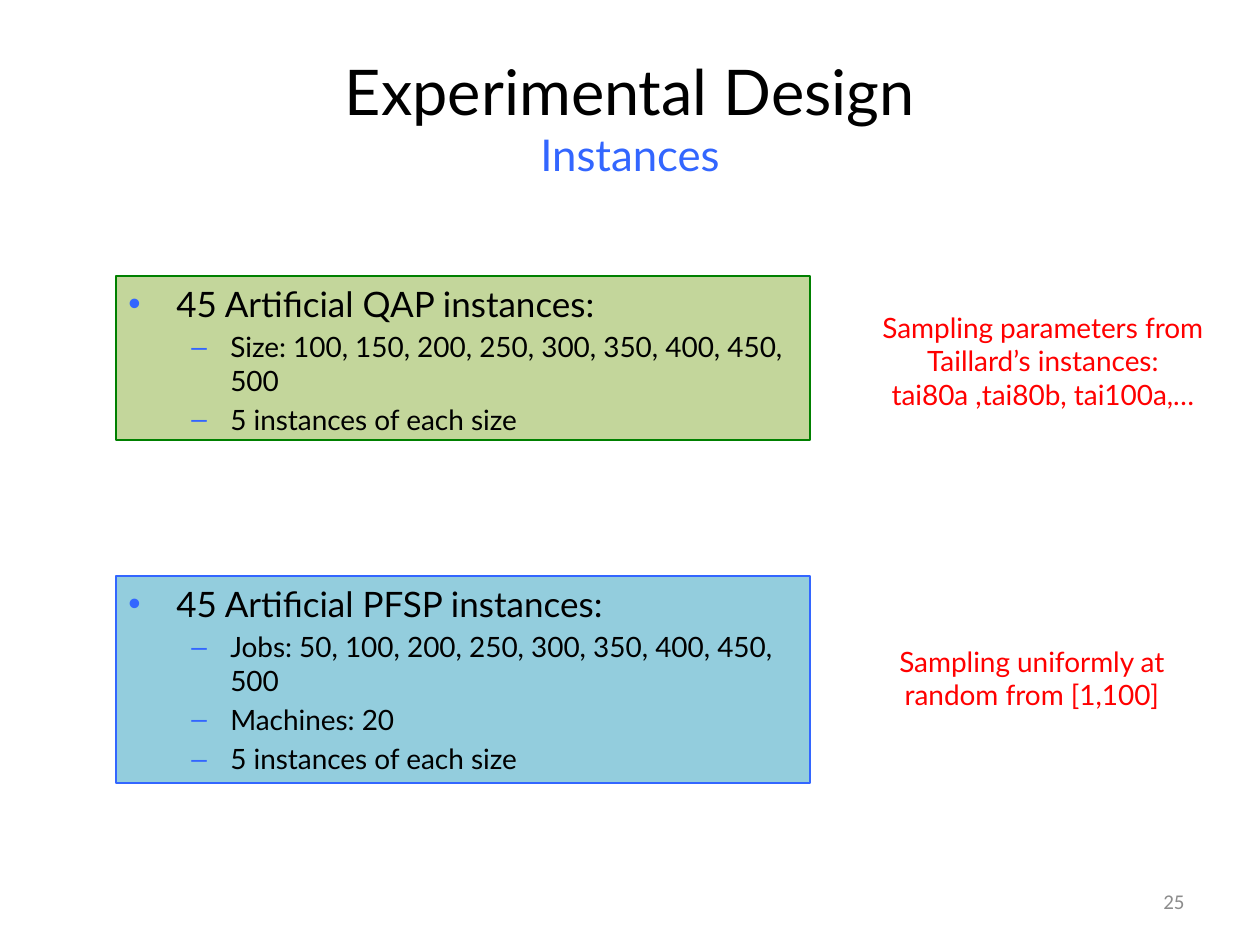
from lxml import etree
from pptx import Presentation
from pptx.dml.color import RGBColor
from pptx.enum.shapes import MSO_SHAPE
from pptx.enum.text import MSO_ANCHOR, PP_ALIGN
from pptx.oxml.ns import qn
from pptx.util import Pt

PX = 914400 / 126
RECTANGLE = MSO_SHAPE.RECTANGLE
TOP, MIDDLE = MSO_ANCHOR.TOP, MSO_ANCHOR.MIDDLE
LEFT, CENTER, RIGHT = PP_ALIGN.LEFT, PP_ALIGN.CENTER, PP_ALIGN.RIGHT
COLORS = {
    "black": "000000",
    "blue": "3366FF",
    "red": "FF0000",
    "gray": "8C8C8C",
    "green": "008000",
    "light_green": "C3D69B",
    "light_blue": "93CDDD",
}
LEVELS = [
    {"bullet": "•", "size": 20, "margin": 48, "hang": 48},
    {"bullet": "–", "size": 16, "margin": 102, "hang": 39},
]


def emu(*lengths):
    """Turn lengths in px into EMU."""
    return [round(length * PX) for length in lengths]


def color(name):
    """Look up a named colour."""
    return RGBColor.from_string(COLORS[name])


def style(span, size, ink, font="Lato"):
    """Format one run."""
    span.font.size = Pt(size)
    span.font.name = font
    span.font.color.rgb = color(ink)


def add_text(page, place, text, styles, align=CENTER, anchor=TOP):
    """Add a wrapping text box with one style for each run."""
    box = page.shapes.add_textbox(*emu(*place))
    frame = box.text_frame
    frame.word_wrap = True
    frame.vertical_anchor = anchor
    para = frame.paragraphs[0]
    para.text = text
    para.alignment = align
    for span, run_style in zip(para.runs, styles):
        style(span, *run_style)


def add_bullet(para, level):
    """Give a paragraph its indent and a blue bullet."""
    rule = LEVELS[level]
    margin, hang = emu(rule["margin"], rule["hang"])
    props = para._p.get_or_add_pPr()
    props.set("marL", str(margin))
    props.set("indent", str(-hang))
    tint = etree.SubElement(props, qn("a:buClr"))
    etree.SubElement(tint, qn("a:srgbClr")).set("val", COLORS["blue"])
    etree.SubElement(props, qn("a:buFont")).set("typeface", "Arial")
    etree.SubElement(props, qn("a:buChar")).set("char", rule["bullet"])


def add_panel(page, place, fill, line, heading, details):
    """Add a filled rectangle with a heading and detail bullets."""
    panel = page.shapes.add_shape(RECTANGLE, *emu(*place))
    panel.shadow.inherit = False
    panel.fill.solid()
    panel.fill.fore_color.rgb = color(fill)
    panel.line.color.rgb = color(line)
    panel.line.width = Pt(0.75)
    frame = panel.text_frame
    frame.word_wrap = True
    frame.vertical_anchor = TOP
    frame.text = "\n".join([heading, *details])
    for index, para in enumerate(frame.paragraphs):
        level = min(index, 1)
        size = LEVELS[level]["size"]
        para.level = level
        para.alignment = LEFT
        add_bullet(para, level)
        if index:
            para.space_before = Pt(size * 0.2)
        style(para.runs[0], size, "black")


def main():
    """Build the slide and save it."""
    deck = Presentation()
    deck.slide_width, deck.slide_height = emu(1260, 945)
    page = deck.slides.add_slide(deck.slide_layouts[6])
    add_text(page, (63, 38, 1134, 157), "Experimental Design\vInstances",
             [(36, "black"), (25, "blue")], anchor=MIDDLE)
    add_text(page, (903, 876, 294, 50), "25", [(12, "gray", "Calibri")], RIGHT, MIDDLE)
    add_panel(page, (116, 276, 694, 164), "light_green", "green",
              "45 Artificial QAP instances:",
              ["Size: 100, 150, 200, 250, 300, 350, 400, 450, 500",
               "5 instances of each size"])
    add_panel(page, (116, 576, 694, 207), "light_blue", "blue",
              "45 Artificial PFSP instances:",
              ["Jobs: 50, 100, 200, 250, 300, 350, 400, 450, 500",
               "Machines: 20",
               "5 instances of each size"])
    note = [(16, "red")]
    add_text(page, (867, 638, 330, 81), "Sampling uniformly at random from [1,100]", note)
    add_text(page, (867, 304, 352, 115),
             "Sampling parameters from Taillard’s instances: tai80a ,tai80b, tai100a,…", note)
    deck.save("out.pptx")


if __name__ == "__main__":
    main()
